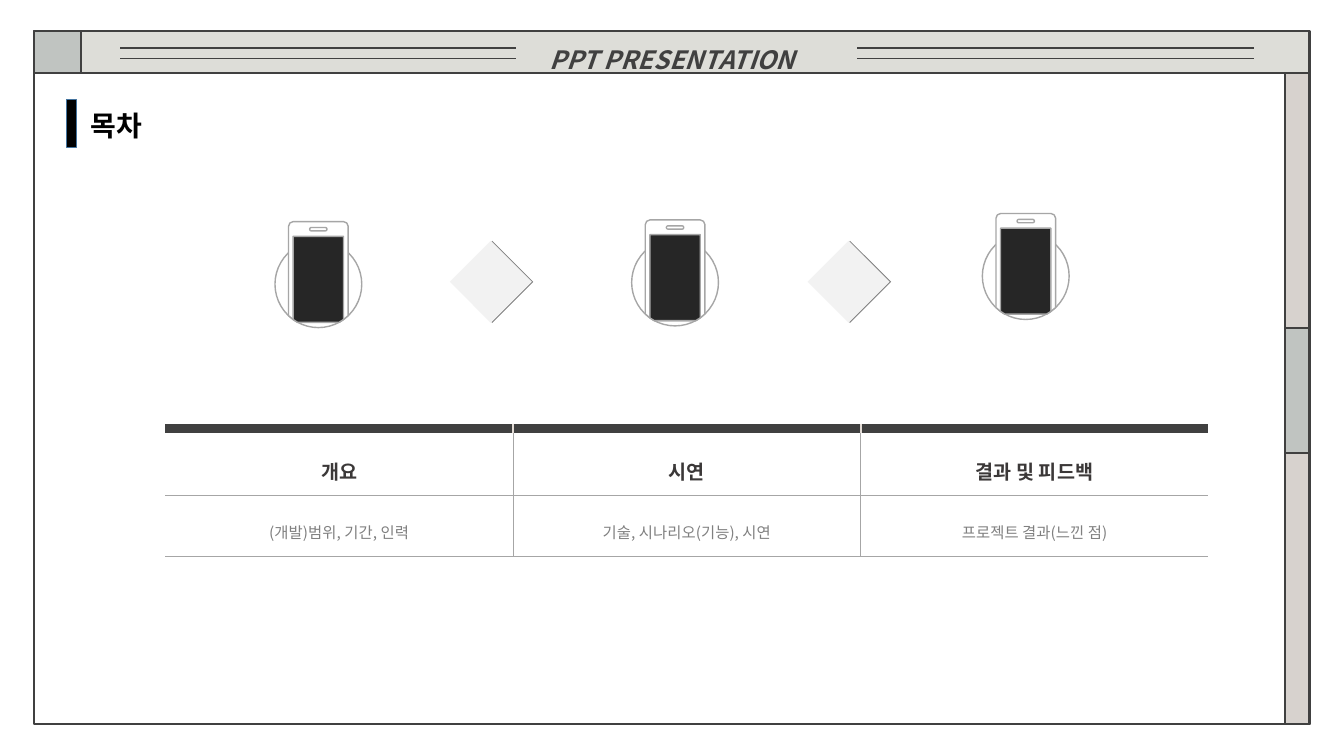
"""Build a contents slide with a window frame, three phone icons and a table."""
from math import sqrt

from lxml.etree import SubElement
from pptx import Presentation
from pptx.dml.color import RGBColor
from pptx.enum.shapes import MSO_CONNECTOR as Connector, MSO_SHAPE as Preset
from pptx.enum.text import MSO_ANCHOR as Anchor, PP_ALIGN as Align
from pptx.oxml.ns import qn
from pptx.util import Pt

FONT = "Noto Sans CJK KR"
DARK, GRAY, PALE = "404040", "A6A6A6", "E2DBD5"
NO_TABLE_STYLE = "{2D5ABB26-0587-4C30-8999-92F81FD0307C}"

HEADER = "PPT PRESENTATION"
TITLE = "목차"
TABLE_ROWS = [
    ("", "", ""),
    ("개요", "시연", "결과 및 피드백"),
    ("(개발)범위, 기간, 인력", "기술, 시나리오(기능), 시연", "프로젝트 결과(느낀 점)"),
]
ROW_HEIGHTS = [6.8, 44.2, 44.2]
ROW_FORMATS = [
    None,
    {"size": Pt(14), "bold": True, "color": "3B3838"},
    {"size": Pt(11), "bold": False, "color": "808080"},
]
TABLE_LEFT, TABLE_TOP, COLUMN_WIDTH = 118, 302.6, 248.4

FRAME_BOXES = [
    (24.6, 22.4, 910.8, 29.8, "DDDDD8"),
    (24.6, 22.4, 33, 29.8, "C0C4C1"),
    (24.6, 52.2, 910.8, 465, "FFFFFF"),
    (918, 52.2, 17.4, 465, "D7D2CE"),
    (918, 234, 17.4, 89.4, "C0C4C1"),
]
RULE_LEFTS, RULE_TOPS, RULE_WIDTH = (85.8, 612.4), (34.2, 41.6), 283
DIAMOND_LEFTS, DIAMOND_TOP, DIAMOND_SIZE = (321.3, 576.9), 172, 58.6
PHONE_CENTERS = [(227.4, 203), (482.2, 201.8), (732.7, 197.2)]
CIRCLE_RADIUS, BODY_HALF, SCREEN_HALF, CHIN_HALF = 31, 21.3, 18, 14.8
BODY_RISE, SCREEN_RISE, CORNER = 44.7, 34.2, 3.4


def rgb(value):
    return RGBColor.from_string(value)


def style(shape, fill, line=None, width=1.0):
    shape.shadow.inherit = False
    shape.fill.solid()
    shape.fill.fore_color.rgb = rgb(fill)
    if line is None:
        shape.line.fill.background()
    else:
        shape.line.color.rgb = rgb(line)
        shape.line.width = Pt(width)
    return shape


def add_preset(slide, preset, box, fill, line=None, width=1.0):
    shape = slide.shapes.add_shape(preset, *map(Pt, box))
    return style(shape, fill, line, width)


def add_outline(slide, points, fill):
    points = [(Pt(x), Pt(y)) for x, y in points]
    builder = slide.shapes.build_freeform(*points[0], scale=1.0)
    builder.add_line_segments(points[1:], close=True)
    return style(builder.convert_to_shape(), fill, GRAY)


def write(frame, text, formats, align=Align.CENTER, spacing=1.5):
    frame.vertical_anchor = Anchor.MIDDLE
    paragraph = frame.paragraphs[0]
    paragraph.alignment = align
    paragraph.line_spacing = spacing
    run = paragraph.add_run()
    run.text = text
    run.font.color.rgb = rgb(formats["color"])
    for name, value in formats.items():
        if name != "color":
            setattr(run.font, name, value)
    run.font.name = FONT
    SubElement(run.font._element, qn("a:ea"), typeface=FONT)


def add_frame(slide):
    boxes = [add_preset(slide, Preset.RECTANGLE, box, fill, DARK, 1.5)
             for *box, fill in FRAME_BOXES]
    write(boxes[0].text_frame, HEADER,
          {"size": Pt(18), "bold": True, "italic": True, "color": DARK})
    for left in RULE_LEFTS:
        for top in RULE_TOPS:
            rule = slide.shapes.add_connector(
                Connector.STRAIGHT, Pt(left), Pt(top), Pt(left + RULE_WIDTH), Pt(top))
            rule.line.color.rgb = rgb(DARK)
            rule.line.width = Pt(1)
            SubElement(rule._element.spPr, qn("a:effectLst"))


def add_diamond(slide, left):
    box = (left, DIAMOND_TOP, DIAMOND_SIZE, DIAMOND_SIZE)
    diamond = add_preset(slide, Preset.DIAMOND, box, "F2F2F2")
    effects = diamond._element.spPr.find(qn("a:effectLst"))
    shadow = SubElement(effects, qn("a:outerShdw"), blurRad="0", dist=str(Pt(1)),
                        dir="0", algn="l", rotWithShape="0")
    SubElement(shadow, qn("a:srgbClr"), val="808080")


def add_phone(slide, x, y):
    def on_circle(offset):
        return x + offset, y + sqrt(CIRCLE_RADIUS ** 2 - offset ** 2)

    def bottom(*halves):
        return [on_circle(half) for half in halves] + [
            on_circle(-half) for half in reversed(halves)]

    def corner(side):
        return [(x + side * (BODY_HALF - inset), y - BODY_RISE + drop)
                for inset, drop in ((CORNER, 0), (CORNER * 0.3, CORNER * 0.3), (0, CORNER))]

    diameter = 2 * CIRCLE_RADIUS
    add_preset(slide, Preset.OVAL,
               (x - CIRCLE_RADIUS, y - CIRCLE_RADIUS, diameter, diameter), "FFFFFF", GRAY)
    body = corner(1) + bottom(BODY_HALF, SCREEN_HALF, CHIN_HALF) + corner(-1)[::-1]
    add_outline(slide, body, "FFFFFF")
    screen_top = y - SCREEN_RISE
    screen = [(x - SCREEN_HALF, screen_top), (x + SCREEN_HALF, screen_top)]
    add_outline(slide, screen + bottom(SCREEN_HALF, CHIN_HALF), "262626")
    speaker = add_preset(slide, Preset.ROUNDED_RECTANGLE,
                         (x - 6.2, y - 40.5, 12.4, 2.4), "FFFFFF", GRAY)
    speaker.adjustments[0] = 0.5


def add_border(cell, edge, color, width):
    line = SubElement(cell._tc.get_or_add_tcPr(), qn(f"a:{edge}"), w=str(Pt(width)))
    fill = SubElement(line, qn("a:solidFill"))
    SubElement(fill, qn("a:srgbClr"), val=color)


def add_contents_table(slide):
    row_count, column_count = len(TABLE_ROWS), len(TABLE_ROWS[0])
    box = (TABLE_LEFT, TABLE_TOP, COLUMN_WIDTH * column_count, sum(ROW_HEIGHTS))
    table = slide.shapes.add_table(row_count, column_count, *map(Pt, box)).table
    table.first_row = table.horz_banding = False
    table._tbl.tblPr.find(qn("a:tableStyleId")).text = NO_TABLE_STYLE
    for column in table.columns:
        column.width = Pt(COLUMN_WIDTH)
    for row, (texts, formats) in enumerate(zip(TABLE_ROWS, ROW_FORMATS)):
        table.rows[row].height = Pt(ROW_HEIGHTS[row])
        color, width = (GRAY, 0.75) if formats else (PALE, 1.5)
        for column, text in enumerate(texts):
            cell = table.cell(row, column)
            edges = {"lnL": column > 0, "lnR": column < column_count - 1,
                     "lnT": row > 1, "lnB": row > 0}
            for edge, shown in edges.items():
                if shown:
                    add_border(cell, edge, color, width)
            if formats:
                cell.fill.background()
                write(cell.text_frame, text, formats)
                cell.vertical_anchor = Anchor.MIDDLE
            else:
                cell.fill.solid()
                cell.fill.fore_color.rgb = rgb(DARK)
                cell.margin_top = cell.margin_bottom = 0
                SubElement(cell.text_frame.paragraphs[0]._p, qn("a:endParaRPr"), sz="100")


def add_title(slide):
    add_preset(slide, Preset.RECTANGLE, (47.6, 71.2, 7.2, 34), "000000", "43739E")
    title = slide.shapes.title
    for name, value in {"left": 57.6, "top": 73.4, "width": 54.7, "height": 31.7}.items():
        setattr(title, name, Pt(value))
    title.text_frame.word_wrap = False
    write(title.text_frame, TITLE, {"size": Pt(20), "bold": True, "color": "000000"},
          Align.LEFT, 1.0)
    slide.shapes._spTree.append(title._element)


def main():
    presentation = Presentation()
    presentation.slide_width, presentation.slide_height = Pt(960), Pt(540)
    slide = presentation.slides.add_slide(presentation.slide_layouts[5])
    add_frame(slide)
    add_contents_table(slide)
    for left in DIAMOND_LEFTS:
        add_diamond(slide, left)
    for center in PHONE_CENTERS:
        add_phone(slide, *center)
    add_title(slide)
    presentation.save("out.pptx")


if __name__ == "__main__":
    main()
